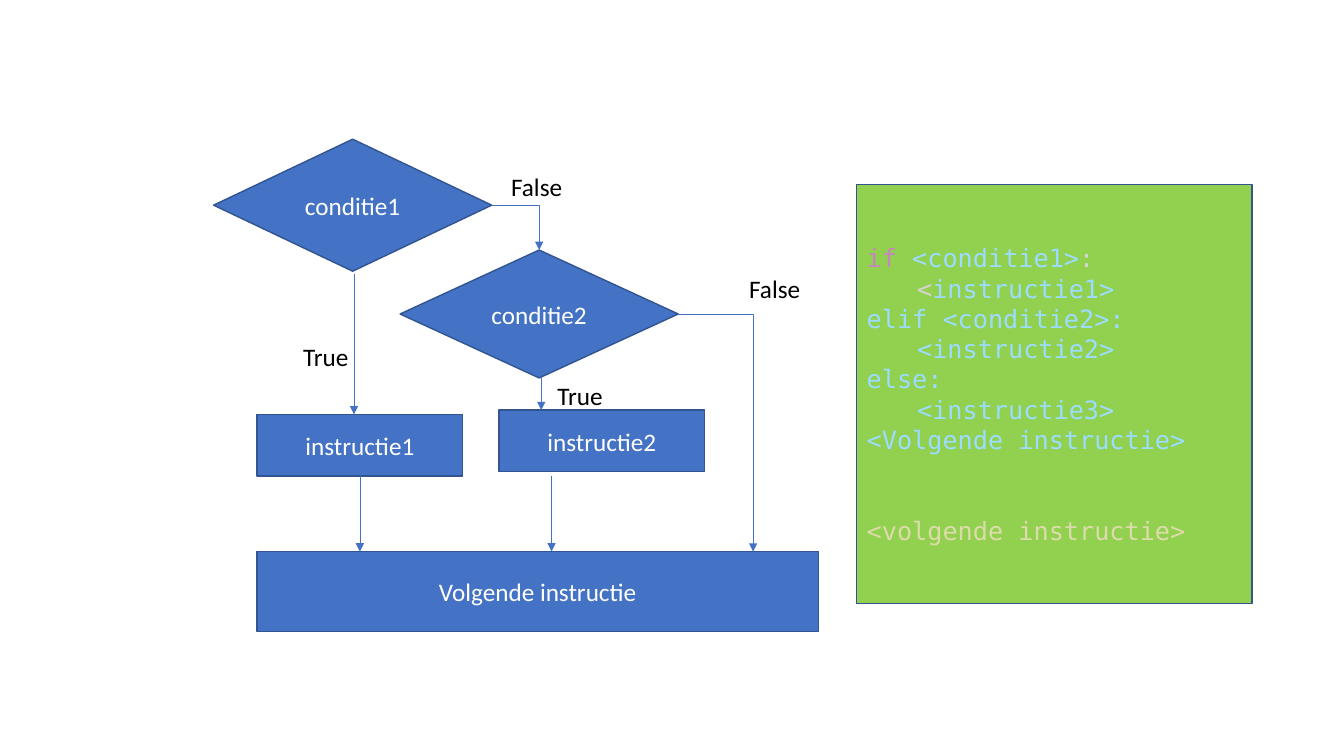
from lxml import etree
from pptx import Presentation
from pptx import util as u
from pptx.dml import color
from pptx.enum import shapes, text
from pptx.oxml import ns

BLUE, EDGE, WHITE, BLACK, GREEN = "4472C4", "325491", "FFFFFF", "000000", "92D050"
PINK, SKY, GREY, CREAM = "C586C0", "9CDCFE", "D4D4D4", "DCDCAA"


def rgb(value):
    return color.RGBColor.from_string(value)


def write(paragraph, words, font="Calibri", size=18, ink=BLACK, align=None):
    if align is not None:
        paragraph.alignment = align
    run = paragraph.add_run()
    run.text = words
    run.font.name = font
    run.font.size = u.Pt(size)
    run.font.color.rgb = rgb(ink)


class Flowchart:
    def __init__(self, slide, fill=BLUE, edge=EDGE):
        self.slide, self.fill, self.edge = slide, fill, edge

    def box(self, kind, left, top, width, height, fill=None):
        shape = self.slide.shapes.add_shape(
            kind, u.Pt(left), u.Pt(top), u.Pt(width), u.Pt(height))
        shape.shadow.inherit = False
        shape.fill.solid()
        shape.fill.fore_color.rgb = rgb(fill or self.fill)
        shape.line.color.rgb = rgb(self.edge)
        shape.line.width = u.Pt(1)
        shape.text_frame.word_wrap = True
        shape.text_frame.vertical_anchor = text.MSO_ANCHOR.MIDDLE
        return shape

    def step(self, words, left, top, width, height,
             kind=shapes.MSO_SHAPE.RECTANGLE):
        shape = self.box(kind, left, top, width, height)
        write(shape.text_frame.paragraphs[0], words, ink=WHITE,
              align=text.PP_ALIGN.CENTER)
        return shape

    def decision(self, words, left, top, width, height):
        return self.step(words, left, top, width, height,
                         shapes.MSO_SHAPE.FLOWCHART_DECISION)

    def label(self, words, left, top, width, wrap):
        frame = self.slide.shapes.add_textbox(
            u.Pt(left), u.Pt(top), u.Pt(width), u.Pt(29)).text_frame
        frame.word_wrap = wrap
        frame.auto_size = text.MSO_AUTO_SIZE.SHAPE_TO_FIT_TEXT
        write(frame.paragraphs[0], words)

    def arrow(self, x1, y1, x2, y2):
        bent = x1 != x2
        kind = shapes.MSO_CONNECTOR.ELBOW if bent else shapes.MSO_CONNECTOR.STRAIGHT
        arrow = self.slide.shapes.add_connector(
            kind, u.Pt(x1), u.Pt(y1), u.Pt(x2), u.Pt(y2))
        arrow.line.color.rgb = rgb(self.fill)
        arrow.line.width = u.Pt(0.5)
        properties = arrow._element.spPr
        if bent:  # one corner: right, then down
            properties.find(ns.qn("a:prstGeom")).set("prst", "bentConnector2")
        etree.SubElement(properties.find(ns.qn("a:ln")), ns.qn("a:tailEnd"),
                         type="triangle")
        etree.SubElement(properties, ns.qn("a:effectLst"))
        return arrow

    def code(self, lines, left, top, width, height, last_gap):
        frame = self.box(shapes.MSO_SHAPE.RECTANGLE, left, top, width, height,
                         GREEN).text_frame
        for number, pieces in enumerate(lines):
            line = frame.add_paragraph() if number else frame.paragraphs[0]
            line.alignment = text.PP_ALIGN.LEFT
            for words, ink in pieces:
                write(line, words, font="DejaVu Sans Mono", ink=ink)
        line.space_before = u.Pt(last_gap)


def main():
    deck = Presentation()
    deck.slide_width, deck.slide_height = u.Pt(960), u.Pt(540)
    chart = Flowchart(deck.slides.add_slide(deck.slide_layouts[6]))

    # Decisions and instructions
    chart.decision("conditie1", 152.6, 99.4, 198.7, 94.3)
    chart.decision("conditie2", 285.8, 178.6, 198.7, 91.4)
    first = chart.step("instructie1", 183.6, 296, 147, 44)
    chart.step("instructie2", 356.4, 293, 147, 44)
    chart.step("Volgende instructie", 183.6, 394, 401, 57)

    # Branches
    chart.arrow(252.9, 195.8, 252.9, 296)
    chart.arrow(386.6, 270, 386.6, 293)
    chart.arrow(351.3, 146.5, 385.2, 178.6)
    chart.arrow(484.5, 224.3, 538, 394)

    # Back to the shared next instruction
    chart.arrow(257.1, 340, 257.1, 394).begin_connect(first, 2)
    chart.arrow(394, 340, 394, 394)

    # Branch labels
    for left, top in ((209.5, 240.5), (391, 268)):
        chart.label("True", left, top, 47.5, wrap=False)
    for left, top in ((358, 119), (528, 192)):
        chart.label("False", left, top, 72, wrap=True)

    # Code panel
    chart.code([
        [("if ", PINK), ("<conditie1>", SKY), (":", GREY)],
        [("\t<", GREY), ("instructie1>", SKY)],
        [("elif <conditie2>:", SKY)],
        [("\t<instructie2>", SKY)],
        [("else:", SKY)],
        [("\t<instructie3>", SKY)],
        [("<Volgende instructie>", SKY)],
        [("<volgende instructie>", CREAM)],
    ], 612, 131.8, 282.2, 299.5, last_gap=43.5)

    deck.save("out.pptx")


if __name__ == "__main__":
    main()
